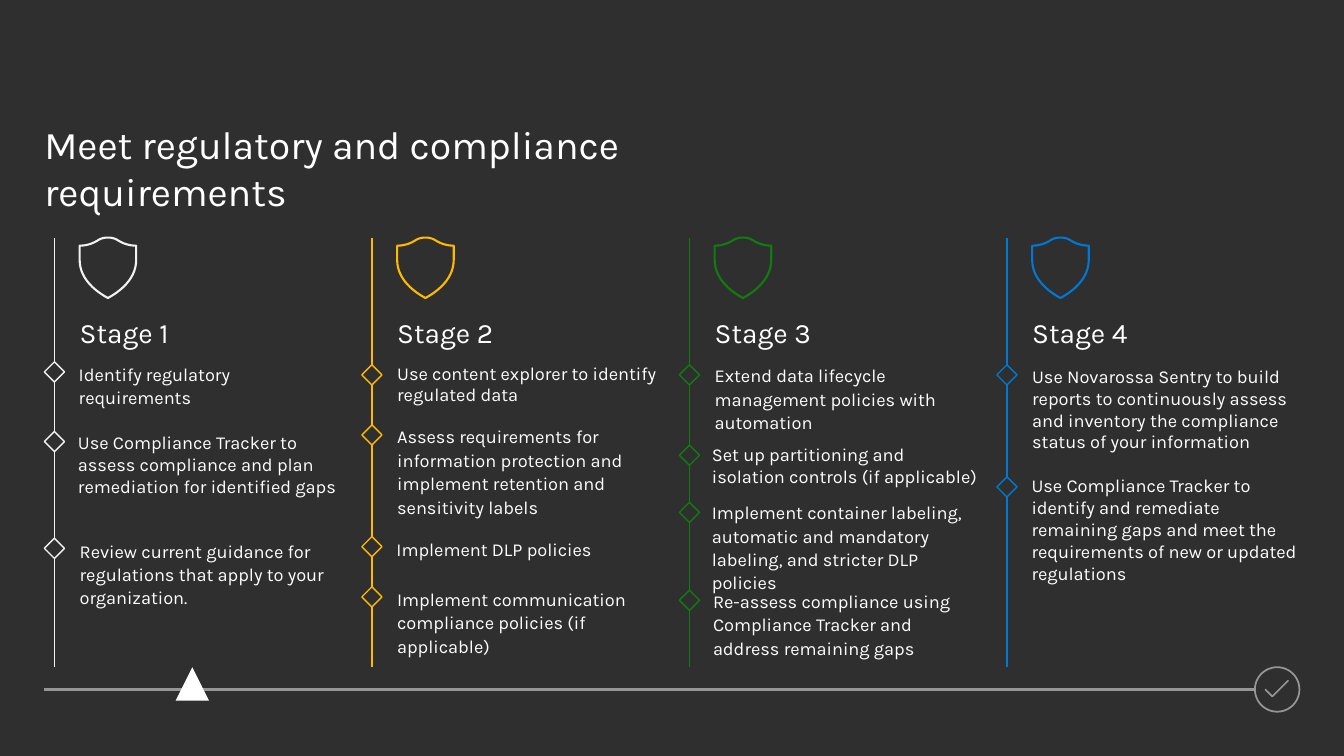
from dataclasses import dataclass

from lxml import etree
from pptx import Presentation
from pptx.dml.color import RGBColor
from pptx.enum.shapes import MSO_CONNECTOR, MSO_SHAPE
from pptx.enum.text import MSO_ANCHOR, MSO_AUTO_SIZE, PP_ALIGN
from pptx.oxml.ns import qn
from pptx.shapes.autoshape import Shape
from pptx.slide import Slide
from pptx.util import Pt

STRAIGHT = MSO_CONNECTOR.STRAIGHT
DIAMOND = MSO_SHAPE.DIAMOND
OVAL = MSO_SHAPE.OVAL
TRIANGLE = MSO_SHAPE.ISOSCELES_TRIANGLE
TOP = MSO_ANCHOR.TOP
LEFT = PP_ALIGN.LEFT
GROW = MSO_AUTO_SIZE.SHAPE_TO_FIT_TEXT

BACKGROUND = RGBColor(0x2F, 0x2F, 0x2F)
WHITE = RGBColor(0xFF, 0xFF, 0xFF)
PALE = RGBColor(0xF2, 0xF2, 0xF2)
GREY = RGBColor(0x96, 0x96, 0x96)
YELLOW = RGBColor(0xFF, 0xB9, 0x00)
GREEN = RGBColor(0x10, 0x7C, 0x10)
BLUE = RGBColor(0x00, 0x78, 0xD4)

FONT = "Karla"
LOOSE = 1.07
TIGHT = 1.0

FIRST_RAIL = 38.9
STAGE_PITCH = 226.8
RAIL_TOP = 170
RAIL_BOTTOM = 476.6
TEXT_GAP = 18
TEXT_WIDTH = 190.8
LINE_HEIGHT = 15.8
MARKER = 14.4
TIMELINE_Y = 492.5
TIMELINE_LEFT = 31.7
BADGE_LEFT = 896.4
BADGE_SIZE = 31.8

Point = tuple[float, float]
Curve = tuple[Point, Point, Point, Point]

SHIELD_WIDTH = 40.4
SHIELD_RIGHT_HALF: list[Curve] = [
    ((20.2, 0), (23, 0), (25.4, 0.7), (27.4, 2)),
    ((27.4, 2), (31, 4.3), (35.4, 5.8), (40.4, 5.8)),
    ((40.4, 16), (40.4, 26.8), (33, 36.2), (20.2, 43.2)),
]
CHECK: list[Point] = [(7.2, 15.8), (12.4, 20.9), (23.9, 9.4)]


@dataclass
class Step:
    text: str
    lines: int
    marker_top: float
    text_top: float
    nudge: float = 0
    spacing: float = LOOSE
    width: float = TEXT_WIDTH


@dataclass
class Stage:
    name: str
    color: RGBColor
    steps: list[Step]


STAGES = [
    Stage("Stage 1", PALE, [
        Step("Identify regulatory requirements", 2, 258.5, 258.5, -0.7),
        Step("Use Compliance Tracker to assess compliance and plan remediation for identified gaps",
             3, 308.2, 308.2, -1.2, TIGHT),
        Step("Review current guidance for regulations that apply to your organization.",
             3, 384.5, 384.5),
    ]),
    Stage("Stage 2", YELLOW, [
        Step("Use content explorer to identify regulated data", 2, 260.6, 258.5, 0, TIGHT),
        Step("Assess requirements for information protection and implement retention "
             "and sensitivity labels", 4, 303.5, 303),
        Step("Implement DLP policies", 1, 383.3, 383.3, -0.5),
        Step("Implement communication compliance policies (if applicable)", 3, 419.2, 419.2),
    ]),
    Stage("Stage 3", GREEN, [
        Step("Extend data lifecycle management policies with automation", 3, 260.6, 259.3),
        Step("Set up partitioning and isolation controls (if applicable)",
             2, 318, 316.9, -2, TIGHT),
        Step("Implement container labeling, automatic and mandatory labeling, and stricter "
             "DLP policies", 4, 358.8, 357.1, -2),
        Step("Re-assess compliance using Compliance Tracker and address remaining gaps",
             3, 421.6, 420.6, -1.2),
    ]),
    Stage("Stage 4", BLUE, [
        Step("Use Novarossa Sentry to build reports to continuously assess and inventory "
             "the compliance status of your information", 4, 260.6, 260.8, 0, TIGHT, 201.6),
        Step("Use Compliance Tracker to identify and remediate remaining gaps and meet the "
             "requirements of new or updated regulations", 5, 340.6, 339.1, -0.5, TIGHT),
    ]),
]


def add_text(slide: Slide, text: str, *, left: float, top: float, width: float, height: float,
             size: float = 13, spacing: float = TIGHT) -> None:
    box = slide.shapes.add_textbox(Pt(left), Pt(top), Pt(width), Pt(height))
    frame = box.text_frame
    frame.margin_left = frame.margin_top = frame.margin_right = frame.margin_bottom = 0
    frame.word_wrap = True
    frame.auto_size = GROW
    frame.vertical_anchor = TOP
    para = frame.paragraphs[0]
    para.alignment = LEFT
    para.line_spacing = spacing
    span = para.add_run()
    span.text = text
    span.font.name = FONT
    span.font.size = Pt(size)
    span.font.color.rgb = WHITE


def style_shape(shape: Shape, fill: RGBColor | None, line: RGBColor | None,
                weight: float = 1) -> None:
    shape.shadow.inherit = False
    if fill is None:
        shape.fill.background()
    else:
        shape.fill.solid()
        shape.fill.fore_color.rgb = fill
    if line is None:
        shape.line.fill.background()
    else:
        shape.line.color.rgb = line
        shape.line.width = Pt(weight)


def add_line(slide: Slide, start: Point, end: Point, color: RGBColor, weight: float) -> None:
    line = slide.shapes.add_connector(STRAIGHT, *(Pt(value) for value in start + end))
    line.line.color.rgb = color
    line.line.width = Pt(weight)
    etree.SubElement(line._element.spPr, qn("a:effectLst"))


def add_outline(slide: Slide, points: list[Point], left: float, top: float, *,
                closed: bool) -> Shape:
    corners = [(Pt(left + x), Pt(top + y)) for x, y in points]
    builder = slide.shapes.build_freeform(*corners[0], scale=1.0)
    builder.add_line_segments(corners[1:], close=closed)
    return builder.convert_to_shape()


def curve_points(curve: Curve, pieces: int = 12) -> list[Point]:
    """Sample a cubic Bézier curve at equal parameter steps."""
    points = []
    for piece in range(pieces + 1):
        t = piece / pieces
        weights = ((1 - t) ** 3, 3 * t * (1 - t) ** 2, 3 * t * t * (1 - t), t ** 3)
        points.append((sum(w * x for w, (x, _) in zip(weights, curve)),
                       sum(w * y for w, (_, y) in zip(weights, curve))))
    return points


def add_shield(slide: Slide, left: float, top: float, color: RGBColor) -> None:
    right = [point for curve in SHIELD_RIGHT_HALF for point in curve_points(curve)]
    mirrored = [(SHIELD_WIDTH - x, y) for x, y in reversed(right)]
    shield = add_outline(slide, right + mirrored[1:-1], left, top, closed=True)
    style_shape(shield, BACKGROUND, color, 1.5)


def add_stage(slide: Slide, stage: Stage, rail: float) -> None:
    text_left = rail + TEXT_GAP
    add_line(slide, (rail, RAIL_TOP), (rail, RAIL_BOTTOM), stage.color, 1)
    add_shield(slide, text_left, RAIL_TOP - 0.3, stage.color)
    add_text(slide, stage.name, left=text_left, top=224, width=TEXT_WIDTH, height=24,
             size=20, spacing=LOOSE)
    for step in stage.steps:
        marker = slide.shapes.add_shape(DIAMOND, Pt(rail - MARKER / 2), Pt(step.marker_top),
                                        Pt(MARKER), Pt(MARKER))
        style_shape(marker, BACKGROUND, stage.color)
        add_text(slide, step.text, left=text_left + step.nudge, top=step.text_top,
                 width=step.width, height=step.lines * LINE_HEIGHT * step.spacing,
                 spacing=step.spacing)


def add_timeline(slide: Slide) -> None:
    add_line(slide, (TIMELINE_LEFT, TIMELINE_Y), (BADGE_LEFT, TIMELINE_Y), GREY, 1.5)
    badge_top = TIMELINE_Y - BADGE_SIZE / 2
    badge = slide.shapes.add_shape(OVAL, Pt(BADGE_LEFT), Pt(badge_top),
                                   Pt(BADGE_SIZE), Pt(BADGE_SIZE))
    style_shape(badge, BACKGROUND, GREY, 1.25)
    check = add_outline(slide, CHECK, BADGE_LEFT, badge_top, closed=False)
    style_shape(check, None, GREY, 1.25)
    pointer = slide.shapes.add_shape(TRIANGLE, Pt(125.5), Pt(RAIL_BOTTOM), Pt(23.8), Pt(23.8))
    style_shape(pointer, WHITE, None)


def main() -> None:
    deck = Presentation()
    deck.slide_width, deck.slide_height = Pt(960), Pt(540)
    slide = deck.slides.add_slide(deck.slide_layouts[6])
    slide.background.fill.solid()
    slide.background.fill.fore_color.rgb = BACKGROUND
    add_text(slide, "Meet regulatory and compliance requirements",
             left=TIMELINE_LEFT, top=86, width=462, height=67.7, size=28)
    for index, stage in enumerate(STAGES):
        add_stage(slide, stage, FIRST_RAIL + index * STAGE_PITCH)
    add_timeline(slide)
    deck.save("out.pptx")


if __name__ == "__main__":
    main()
